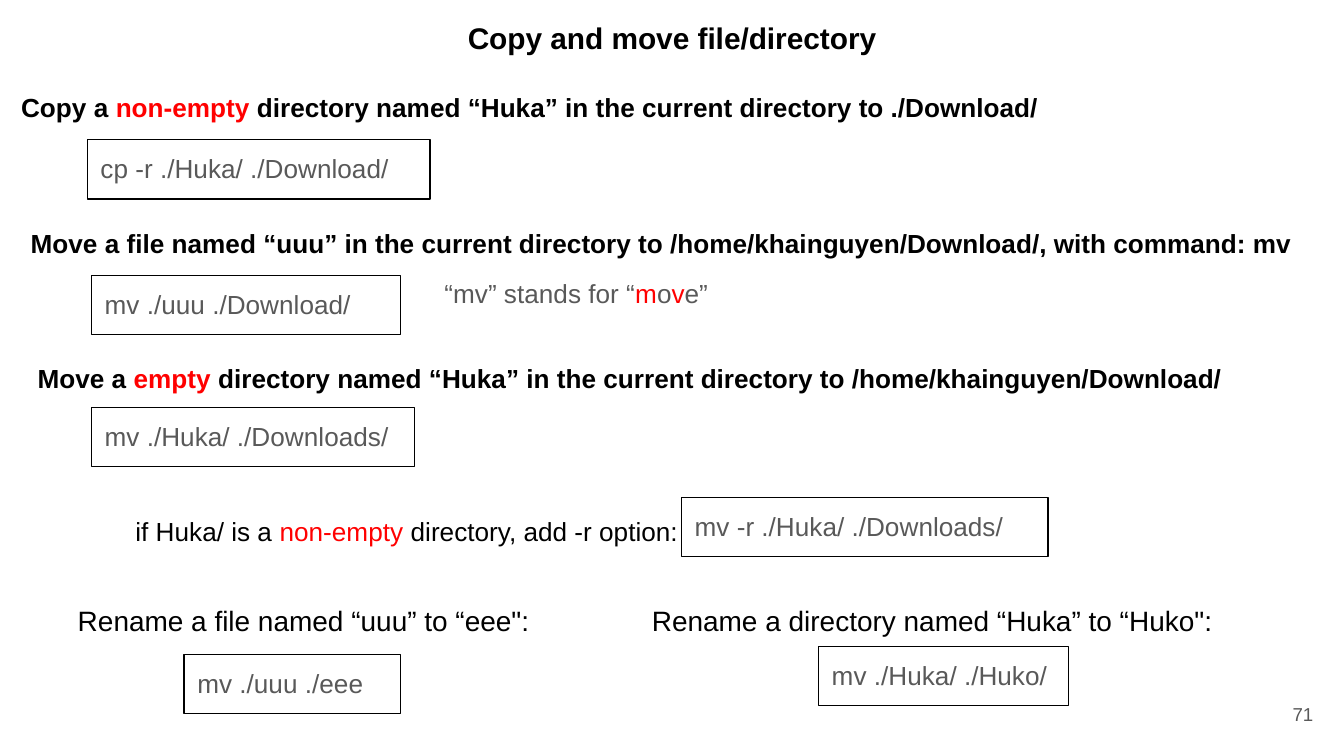
from dataclasses import dataclass

from pptx import Presentation
from pptx import util as u
from pptx.dml.color import RGBColor
from pptx.enum import shapes, text


@dataclass(frozen=True)
class Theme:
    font: str = "Arial"
    ink: str = "000000"
    gray: str = "595959"
    red: str = "FF0000"
    title: int = 16
    task: int = 15
    body: int = 14
    page: int = 10
    pad: float = 0.25
    row: float = 1.12


T = Theme()


def write(shape, runs, size, color, bold=False, align=text.PP_ALIGN.LEFT,
          anchor=text.MSO_ANCHOR.TOP):
    """Fill a shape with runs; a run is a string or a (string, color) pair."""
    frame = shape.text_frame
    frame.word_wrap = True
    frame.vertical_anchor = anchor
    frame.margin_left = frame.margin_right = u.Cm(T.pad)
    frame.margin_top = frame.margin_bottom = u.Cm(T.pad)
    para = frame.paragraphs[0]
    para.alignment = align
    for part in runs:
        words, tint = (part, color) if isinstance(part, str) else part
        run = para.add_run()
        run.text = words
        run.font.name = T.font
        run.font.size = u.Pt(size)
        run.font.bold = bold
        run.font.color.rgb = RGBColor.from_string(tint)


def label(slide, left, top, width, runs, size=T.body, color=T.ink,
          height=T.row, **style):
    box = slide.shapes.add_textbox(u.Cm(left), u.Cm(top), u.Cm(width), u.Cm(height))
    write(box, runs, size, color, **style)


def command(slide, left, top, width, code):
    box = slide.shapes.add_shape(shapes.MSO_SHAPE.RECTANGLE, u.Cm(left),
                                 u.Cm(top), u.Cm(width), u.Cm(T.row))
    box.shadow.inherit = False
    box.fill.background()
    box.line.color.rgb = RGBColor.from_string(T.ink)
    box.line.width = u.Pt(0.75)
    write(box, [code], T.body, T.gray)


def main():
    deck = Presentation()
    deck.slide_width, deck.slide_height = u.Cm(25.4), u.Cm(14.29)
    slide = deck.slides.add_slide(deck.slide_layouts[6])

    # Title and page number
    label(slide, 7.04, 0.13, 11.33, ["Copy and move file/directory"], T.title,
          height=1.19, bold=True, align=text.PP_ALIGN.CENTER)
    label(slide, 23.55, 12.95, 1.52, ["71"], T.page, T.gray, height=1.09,
          align=text.PP_ALIGN.RIGHT, anchor=text.MSO_ANCHOR.MIDDLE)

    # Headings
    heads = [
        (0.15, 1.47, 24.49, ["Copy a ", ("non-empty", T.red),
         " directory named “Huka” in the current directory to ./Download/"]),
        (0.33, 4.04, 24.49, ["Move a file named “uuu” in the current directory to "
                             "/home/khainguyen/Download/, with command: mv"]),
        (0.46, 6.6, 22.96, ["Move a ", ("empty", T.red),
         " directory named “Huka” in the current directory to "
         "/home/khainguyen/Download/"]),
    ]
    for head in heads:
        label(slide, *head, bold=True)

    # Notes beside the commands
    label(slide, 8.15, 5, 6.71, ["“mv” stands for “", ("m", T.red), "o",
                                 ("v", T.red), "e”"], color=T.gray)
    label(slide, 2.31, 9.5, 11.1, ["if Huka/ is a ", ("non-empty", T.red),
                                   " directory, add -r option:"])

    # Rename tasks
    label(slide, 1.22, 11.15, 9.83, ['Rename a file named “uuu” to “eee":'], T.task)
    label(slide, 12.07, 11.15, 12.34,
          ['Rename a directory named “Huka” to “Huko":'], T.task)

    # Commands
    for item in [
        (1.65, 2.64, 6.48, "cp -r ./Huka/ ./Download/"),
        (1.73, 5.21, 5.84, "mv ./uuu ./Download/"),
        (1.73, 7.7, 6.1, "mv ./Huka/ ./Downloads/"),
        (12.88, 9.4, 6.93, "mv -r ./Huka/ ./Downloads/"),
        (3.48, 12.37, 4.09, "mv ./uuu ./eee"),
        (15.47, 12.22, 4.72, "mv ./Huka/ ./Huko/"),
    ]:
        command(slide, *item)

    deck.save("out.pptx")


if __name__ == "__main__":
    main()
